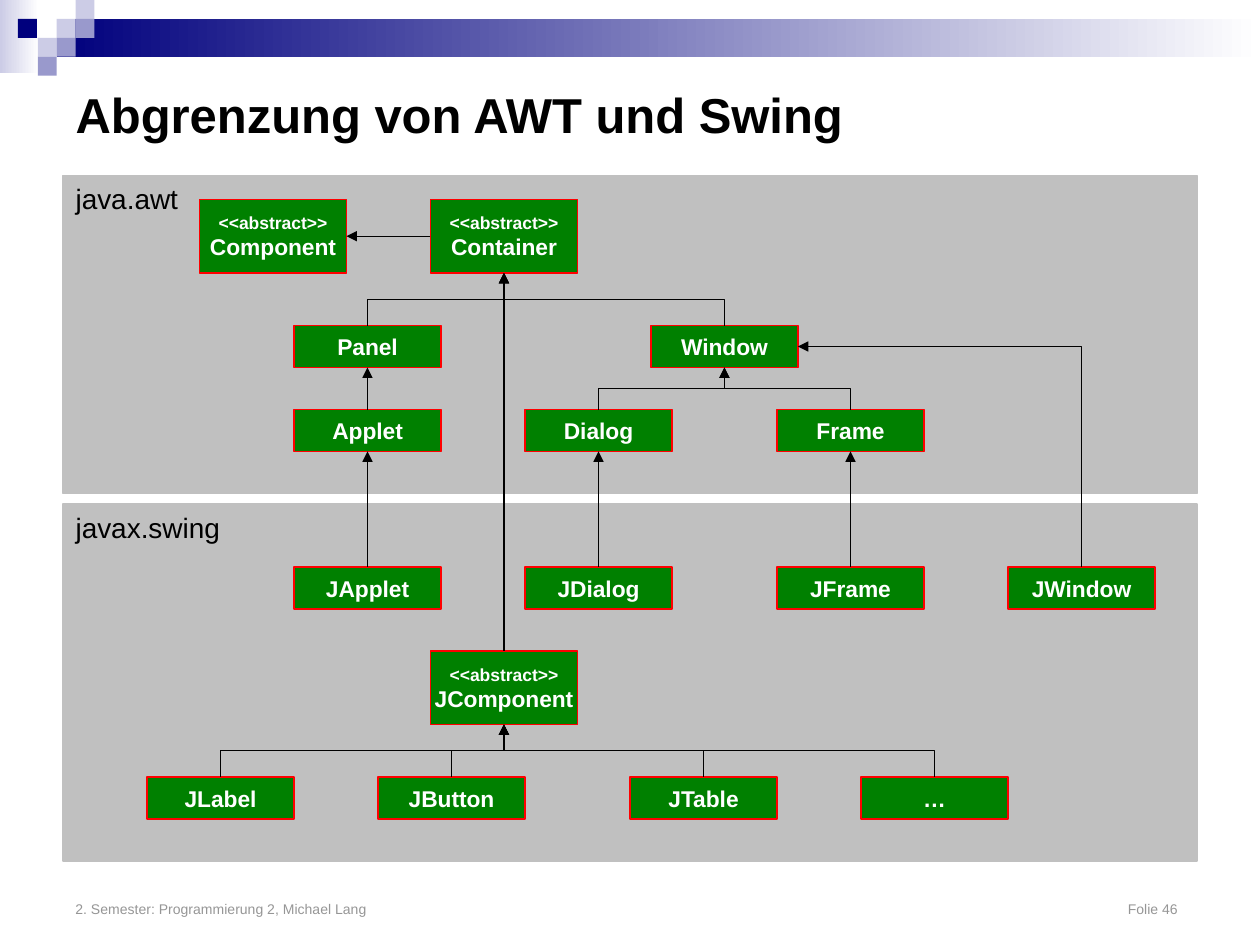
"""Build the slide that sets the AWT classes apart from the Swing classes."""
import pptx
import pptx.util
import pptx.dml.color
import pptx.enum.shapes
import pptx.enum.text
import pptx.oxml.ns
import lxml.etree

Pt = pptx.util.Pt
RGB = pptx.dml.color.RGBColor.from_string
RECT = pptx.enum.shapes.MSO_SHAPE.RECTANGLE
LINK = pptx.enum.shapes.MSO_CONNECTOR
ANCHOR = pptx.enum.text.MSO_ANCHOR
ALIGN = pptx.enum.text.PP_ALIGN
qn = pptx.oxml.ns.qn

C = {"navy": "00007D", "mid": "9999CC", "pale": "CCCCE6", "white": "FFFFFF",
     "black": "000000", "grey": "969696", "panel": "C0C0C0",
     "green": "008000", "red": "FF0000"}

prs = pptx.Presentation()
prs.slide_width, prs.slide_height = pptx.util.Inches(10), pptx.util.Inches(7.5)
U = prs.slide_width // 120
s = prs.slides.add_slide(prs.slide_layouts[3])


def add_rect(x, y, w, h, fill, fade=False):
    sp = s.shapes.add_shape(RECT, *[round(v * U) for v in (x, y, w, h)])
    sp.shadow.inherit = False
    sp.line.fill.background()
    if fade:
        sp.fill.gradient()
        sp.fill.gradient_angle = 0
        for stop, color in zip(sp.fill.gradient_stops, (fill, "white")):
            stop.color.rgb = RGB(C[color])
    else:
        sp.fill.solid()
        sp.fill.fore_color.rgb = RGB(C[fill])
    return sp


def add_run(p, text, size, color, bold=False):
    r = p.add_run()
    r.text = text
    r.font.name, r.font.size, r.font.bold = "Arial", Pt(size), bold
    r.font.color.rgb = RGB(C[color])


Q = 1.8
add_rect(0, 0, 3.7, 7, "pale", True)
add_rect(3 * Q, Q, 120 - 3 * Q, 2 * Q, "navy", True)
for col, row, color in [(3, 1, "pale"), (4, 0, "pale"), (4, 1, "mid"), (2, 2, "pale"),
                        (0.95, 1, "navy"), (3, 2, "mid"), (2, 3, "mid")]:
    add_rect(col * Q, row * Q, Q, Q, color)

sp = s.shapes.add_textbox(6 * U, 82 * U, 108 * U, 6 * U)
tf = sp.text_frame
tf.word_wrap = True
tf.vertical_anchor = ANCHOR.BOTTOM
p = tf.paragraphs[0]
tabs = lxml.etree.SubElement(p._p.get_or_add_pPr(), qn("a:tabLst"))
lxml.etree.SubElement(tabs, qn("a:tab"), pos=str(105 * U), algn="r")
add_run(p, "2. Semester: Programmierung 2, Michael Lang\tFolie 46", 8, "grey")

title, awt, swing = s.placeholders
for sp, text, top, height, size in [(title, "Abgrenzung von AWT und Swing", 6, 9.7, 28),
                                    (awt, "java.awt", 16.7, 30.3, 16),
                                    (swing, "javax.swing", 48, 34, 16)]:
    sp.left, sp.top, sp.width, sp.height = 6 * U, round(top * U), 108 * U, round(height * U)
    tf = sp.text_frame
    tf.auto_size = pptx.enum.text.MSO_AUTO_SIZE.NONE
    tf.vertical_anchor = ANCHOR.MIDDLE if sp is title else ANCHOR.TOP
    p = tf.paragraphs[0]
    pPr = p._p.get_or_add_pPr()
    pPr.set("marL", "0")
    pPr.set("indent", "0")
    lxml.etree.SubElement(pPr, qn("a:buNone"))
    p.alignment, p.space_before = ALIGN.LEFT, Pt(0)
    add_run(p, text, size, "black", sp is title)
    if sp is not title:
        sp.fill.solid()
        sp.fill.fore_color.rgb = RGB(C["panel"])
        sp.line.color.rgb = RGB(C["panel"])
        sp.line.width = Pt(0.75)

BOX_W = 14
rows = [(19, 7, {"Component": 19, "Container": 41}),
        (31, 4, {"Panel": 28, "Window": 62}),
        (39, 4, {"Applet": 28, "Dialog": 50, "Frame": 74}),
        (54, 4, {"JApplet": 28, "JDialog": 50, "JFrame": 74, "JWindow": 96}),
        (62, 7, {"JComponent": 41}),
        (74, 4, {"JLabel": 14, "JButton": 36, "JTable": 60, "…": 82})]
box = {}
for top, height, names in rows:
    for name, left in names.items():
        sp = add_rect(left, top, BOX_W, height, "green")
        sp.line.color.rgb = RGB(C["red"])
        sp.line.width = Pt(0.75)
        tf = sp.text_frame
        tf.word_wrap = False
        tf.vertical_anchor = ANCHOR.MIDDLE
        p = tf.paragraphs[0]
        p.alignment = ALIGN.CENTER
        if height == 7:
            add_run(p, "<<abstract>>", 10, "white", True)
            p = tf.add_paragraph()
            p.alignment = ALIGN.CENTER
        add_run(p, name, 13, "white", True)
        box[name] = (left + BOX_W / 2, top, top + height)

parents = {"Container": "Component", "Panel": "Container", "Window": "Container",
           "JComponent": "Container", "Applet": "Panel", "Dialog": "Window",
           "Frame": "Window", "JApplet": "Applet", "JDialog": "Dialog",
           "JFrame": "Frame", "JWindow": "Window", "JLabel": "JComponent",
           "JButton": "JComponent", "JTable": "JComponent", "…": "JComponent"}
for child, parent in parents.items():
    x1, y1, _ = box[child]
    x2, top, y2 = box[parent]
    if child == "Container":
        x1, x2, y1, y2 = x1 - BOX_W / 2, x2 + BOX_W / 2, 22.5, 22.5
    elif child == "JWindow":
        x2, y2 = x2 + BOX_W / 2, (top + y2) / 2
    bent = x1 != x2 and y1 != y2
    ends = x1, y1, x2, y2
    if bent:
        cx, cy, dx = (x1 + x2) / 2, (y1 + y2) / 2, abs(x1 - x2) / 2
        dy = (y1 - y2) / 2 if x1 > x2 else (y2 - y1) / 2
        ends = cx + dy, cy - dx, cx - dy, cy + dx
    cn = s.shapes.add_connector(LINK.ELBOW if bent else LINK.STRAIGHT,
                                *[round(v * U) for v in ends])
    spPr = cn._element.spPr
    if bent:
        spPr.find(qn("a:xfrm")).set("rot", "5400000" if x1 > x2 else "16200000")
    if child == "JWindow":
        spPr.find(qn("a:prstGeom")).set("prst", "bentConnector2")
    cn.line.color.rgb = RGB(C["black"])
    cn.line.width = Pt(0.75)
    lxml.etree.SubElement(cn.line._get_or_add_ln(), qn("a:tailEnd"), type="triangle")
    lxml.etree.SubElement(spPr, qn("a:effectLst"))

prs.save("out.pptx")
